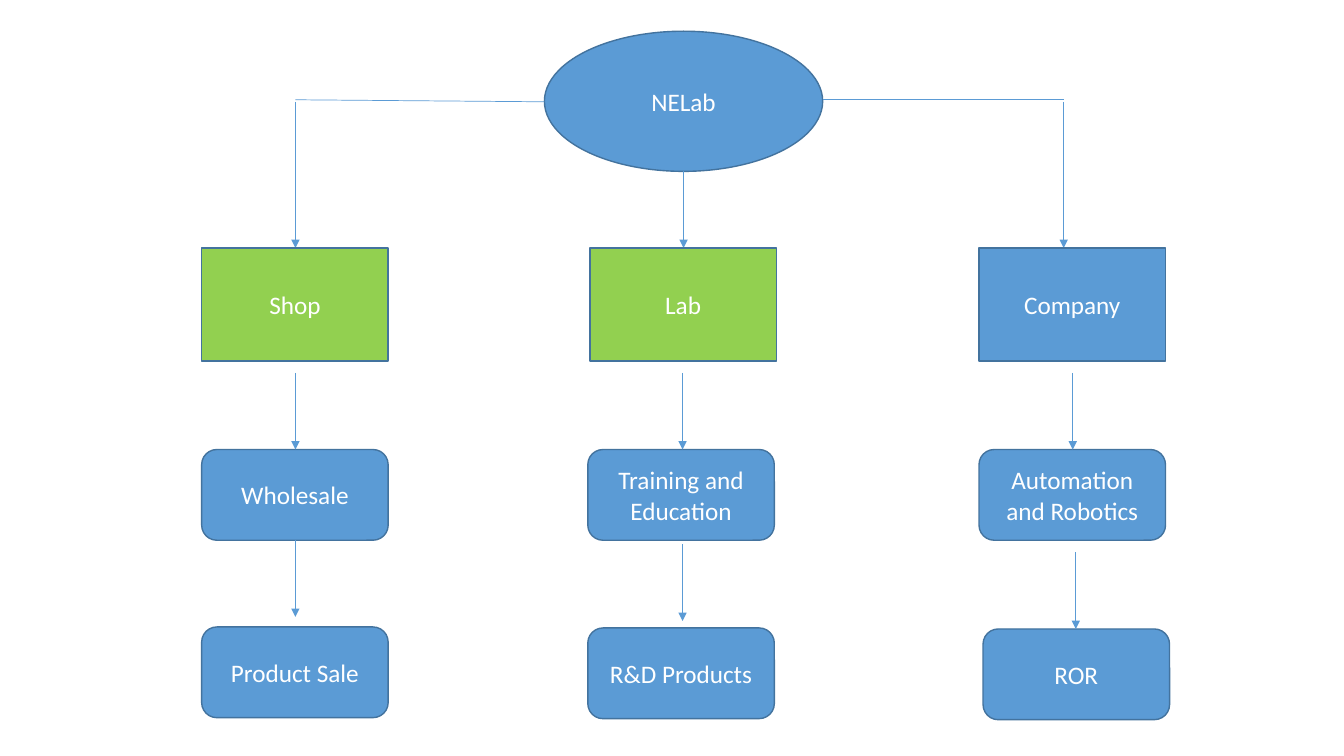
"""Build an organisation chart with three branches under one root."""
import pptx
import pptx.util
import pptx.dml.color
import pptx.enum.shapes
import pptx.enum.text
import pptx.oxml
import pptx.oxml.ns

Inches, Pt = pptx.util.Inches, pptx.util.Pt
RGBColor = pptx.dml.color.RGBColor
SHAPE = pptx.enum.shapes.MSO_SHAPE
BLUE = RGBColor(0x5B, 0x9B, 0xD5)
GREEN = RGBColor(0x92, 0xD0, 0x50)
OUTLINE = RGBColor(0x43, 0x73, 0x9E)
WHITE = RGBColor(0xFF, 0xFF, 0xFF)

ROOT = ("NELab", 5.4, 0.31, 2.76, 1.39)
BOX_WIDTH, UNIT_HEIGHT, ACTIVITY_HEIGHT = 1.85, 1.12, 0.9
UNIT_TOP, ACTIVITY_TOP = 2.46, 4.46
ARROW_LENGTH = 0.76

BRANCHES = [
    {"unit": ("Shop", 2, GREEN),
     "activities": [("Wholesale", 2, ACTIVITY_TOP), ("Product Sale", 2, 6.22)],
     "arrows": [(2.93, 3.7), (2.93, 5.36)]},
    {"unit": ("Lab", 5.85, GREEN),
     "activities": [("Training and Education", 5.83, ACTIVITY_TOP),
                    ("R&D Products", 5.83, 6.23)],
     "arrows": [(6.77, 3.7), (6.77, 5.4)]},
    {"unit": ("Company", 9.71, BLUE),
     "activities": [("Automation and Robotics", 9.71, ACTIVITY_TOP),
                    ("ROR", 9.75, 6.24)],
     "arrows": [(10.64, 3.7), (10.67, 5.48)]},
]
ROOT_ARMS = [(5.4, 1.01, 2.93, 0.99), (10.55, 0.99, 8.16, 0.99)]
ROOT_ARROWS = [(2.93, 1.01), (6.78, 1.7), (10.55, 1.01)]


def add_box(page, kind, text, left, top, width, height, fill=BLUE):
    """Add a filled shape with centred white text."""
    box = page.shapes.add_shape(
        kind, Inches(left), Inches(top), Inches(width), Inches(height))
    box.shadow.inherit = False
    box.fill.solid()
    box.fill.fore_color.rgb = fill
    box.line.color.rgb = OUTLINE
    box.line.width = Pt(1)
    frame = box.text_frame
    frame.word_wrap = True
    frame.vertical_anchor = pptx.enum.text.MSO_ANCHOR.MIDDLE
    para = frame.paragraphs[0]
    para.text = text
    para.alignment = pptx.enum.text.PP_ALIGN.CENTER
    para.font.name = "Calibri"
    para.font.size = Pt(18)
    para.font.color.rgb = WHITE


def add_line(page, start_x, start_y, end_x, end_y, arrow=False):
    """Add a thin connector, with an arrowhead at its end if wanted."""
    line = page.shapes.add_connector(
        pptx.enum.shapes.MSO_CONNECTOR.STRAIGHT,
        Inches(start_x), Inches(start_y), Inches(end_x), Inches(end_y))
    line.line.color.rgb = BLUE
    line.line.width = Pt(0.5)
    properties = line._element.spPr
    if arrow:
        head = pptx.oxml.parse_xml(
            f'<a:tailEnd {pptx.oxml.ns.nsdecls("a")} type="triangle"/>')
        line.line._get_or_add_ln().append(head)
    properties.append(pptx.oxml.parse_xml(
        f'<a:effectLst {pptx.oxml.ns.nsdecls("a")}/>'))


deck = pptx.Presentation()
deck.slide_width, deck.slide_height = Inches(13.33), Inches(7.5)
page = deck.slides.add_slide(deck.slide_layouts[6])

add_box(page, SHAPE.OVAL, *ROOT)
for arm in ROOT_ARMS:
    add_line(page, *arm)
for x, y in ROOT_ARROWS:
    add_line(page, x, y, x, UNIT_TOP, arrow=True)

for branch in BRANCHES:
    name, left, colour = branch["unit"]
    add_box(page, SHAPE.RECTANGLE, name, left, UNIT_TOP,
            BOX_WIDTH, UNIT_HEIGHT, colour)
    for activity in branch["activities"]:
        add_box(page, SHAPE.ROUNDED_RECTANGLE, *activity,
                BOX_WIDTH, ACTIVITY_HEIGHT)
    for x, y in branch["arrows"]:
        add_line(page, x, y, x, y + ARROW_LENGTH, arrow=True)

deck.save("out.pptx")
